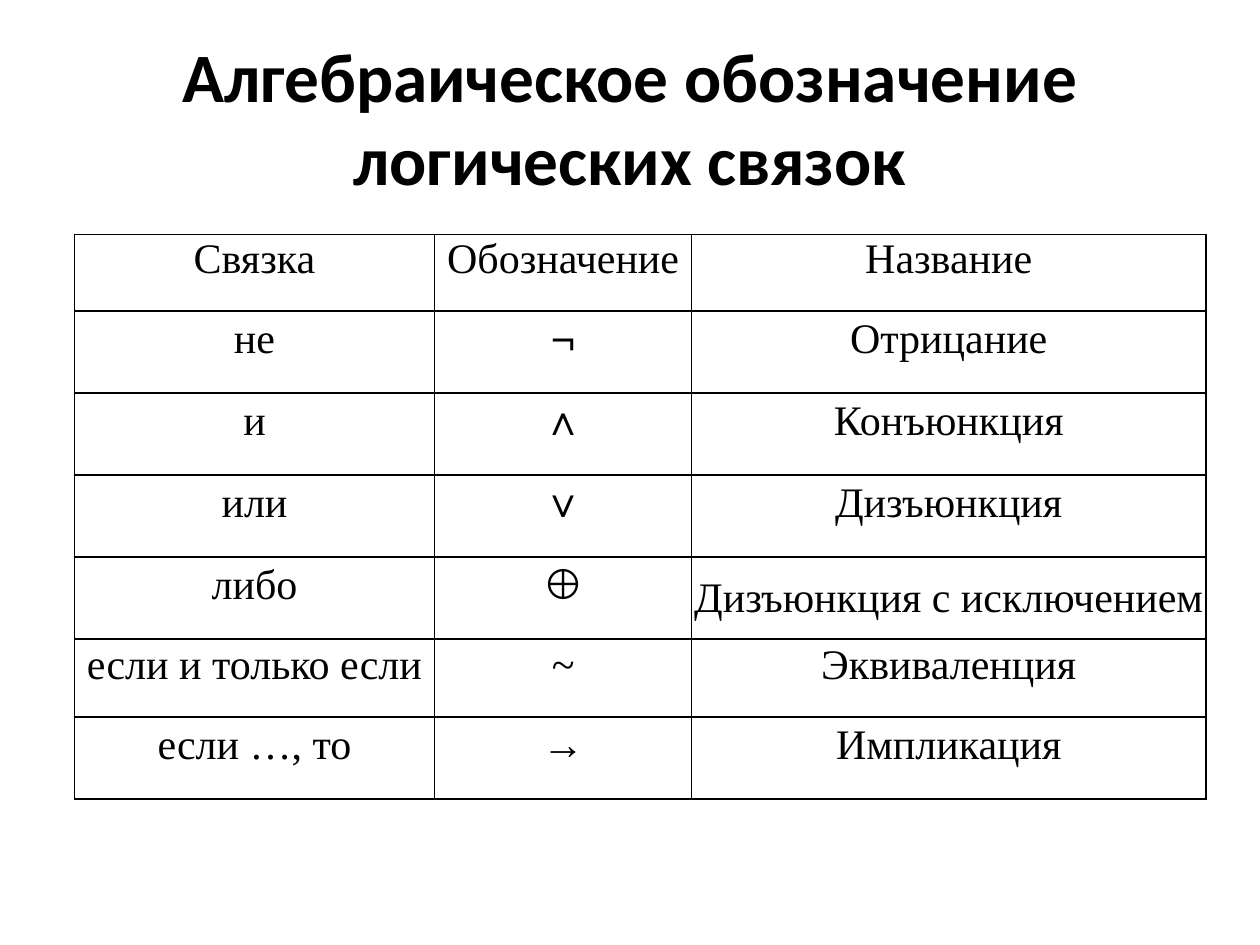
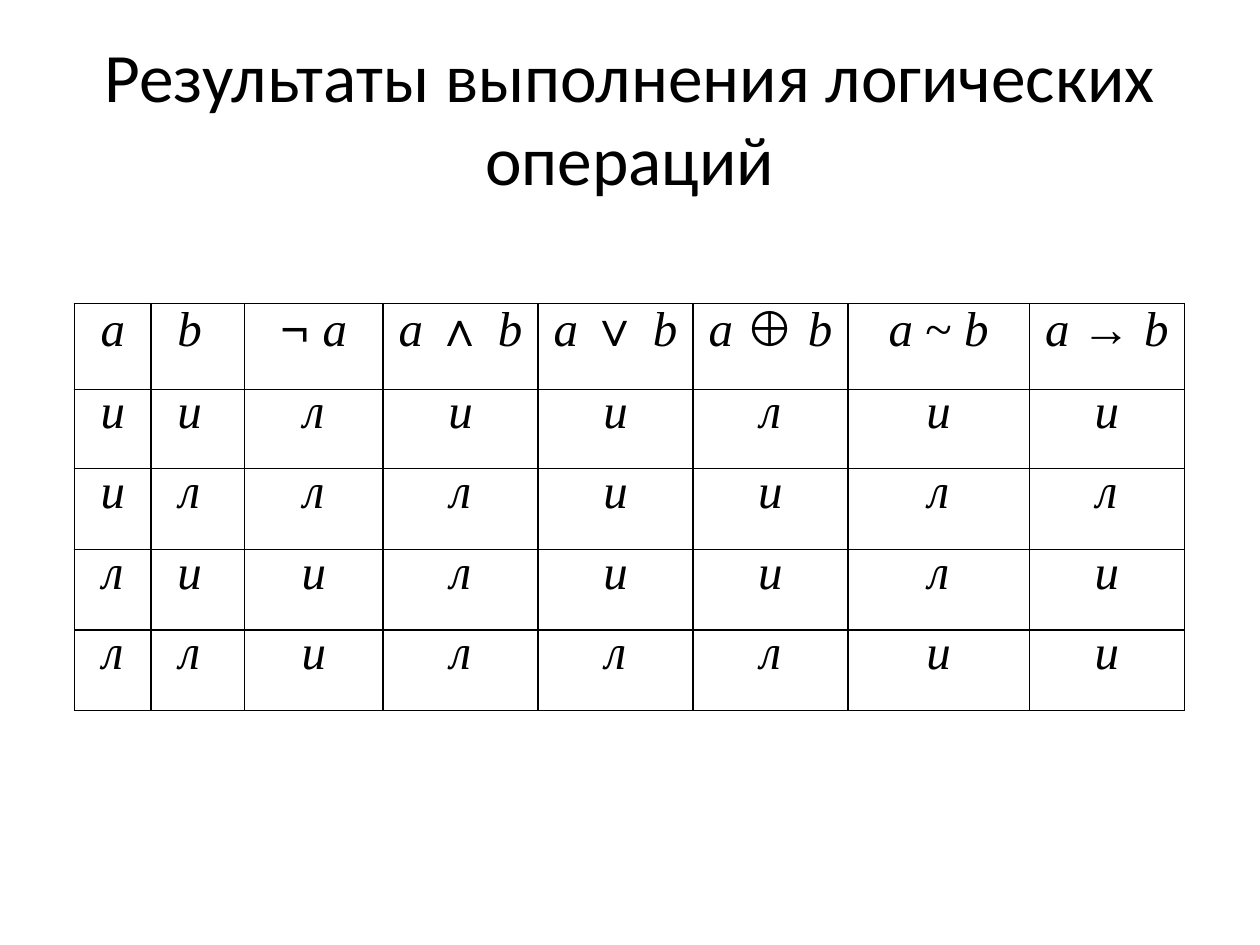
from lxml import etree
from pptx import Presentation
from pptx.dml.color import RGBColor
from pptx.enum.text import MSO_ANCHOR, PP_ALIGN
from pptx.oxml.ns import qn
from pptx.util import Inches, Pt

MIDDLE, CENTER = MSO_ANCHOR.MIDDLE, PP_ALIGN.CENTER

# Shared look
INK = "000000"
TITLE_FONT, BODY_FONT, SYMBOL_FONT = "Calibri", "Times New Roman", "Arial"
TITLE_SIZE = 39.6
TITLE_BOX = (0.5, 0.3, 9, 1.25)
TABLE_LEFT = 0.59
SYMBOLS = set("¬∧∨⊕→")
OPERATORS = SYMBOLS | {"~"}

# Content; lengths in inches, sizes and line spacing in points
# spacing: exact line spacing of each row
# natural: cells that keep single spacing
# right_margins: column -> right cell margin
SLIDES = [
    {
        "title": "Алгебраическое обозначение логических связок",
        "bold": True,
        "top": 1.86,
        "size": 24,
        "italic": False,
        "columns": [2.86, 2.04, 4.08],
        "heights": [0.61, 0.65, 0.65, 0.65, 0.65, 0.62, 0.65],
        "spacing": [11.7, 12.3, 12.3, 12.3, 12.3, 11.8, 12.3],
        "natural": {(4, 2)},
        "right_margins": {},
        "rows": [
            ("Связка", "Обозначение", "Название"),
            ("не", "¬", "Отрицание"),
            ("и", "∧", "Конъюнкция"),
            ("или", "∨", "Дизъюнкция"),
            ("либо", "⊕", "Дизъюнкция с исключением"),
            ("если и только если", "~", "Эквиваленция"),
            ("если …, то", "→", "Импликация"),
        ],
    },
    {
        "title": "Результаты выполнения логических операций",
        "bold": False,
        "top": 2.41,
        "size": 28,
        "italic": True,
        "columns": [0.61, 0.74, 1.1, 1.23, 1.23, 1.23, 1.44, 1.23],
        "heights": [0.68, 0.63, 0.64, 0.64, 0.64],
        "spacing": [12.6, 11.6, 11.7, 11.6, 11.7],
        "natural": set(),
        "right_margins": {1: 0.13},
        "rows": [
            ("a", "b", "¬ a", "a ∧ b", "a ∨ b", "a ⊕ b", "a ~ b", "a → b"),
            "иилиилии",
            "илллиилл",
            "лиилиили",
            "ллилллии",
        ],
    },
]


def color(hex_value):
    return RGBColor.from_string(hex_value)


def style_run(run, font, size, bold=False, italic=False):
    run.font.name = font
    run.font.size = Pt(size)
    run.font.bold = bold
    run.font.italic = italic
    run.font.color.rgb = color(INK)


def add_title(slide, text, bold):
    frame = slide.shapes.add_textbox(*map(Inches, TITLE_BOX)).text_frame
    frame.word_wrap = True
    frame.vertical_anchor = MIDDLE
    frame.text = text
    paragraph = frame.paragraphs[0]
    paragraph.alignment = CENTER
    style_run(paragraph.runs[0], TITLE_FONT, TITLE_SIZE, bold)


def add_borders(cell):
    """Draw a 1 pt line on all four sides; lines precede the fill in tcPr."""
    properties = cell._tc.get_or_add_tcPr()
    for place, side in enumerate(("lnL", "lnR", "lnT", "lnB")):
        line = etree.Element(qn(f"a:{side}"), w=str(Pt(1)))
        fill = etree.SubElement(line, qn("a:solidFill"))
        etree.SubElement(fill, qn("a:srgbClr"), val=INK)
        properties.insert(place, line)


def write_formula(paragraph, text, size, italic):
    """Give operators an upright run of their own, in the symbol font."""
    parts = text.split(" ") if OPERATORS & set(text) else [text]
    for place, part in enumerate(parts, 1):
        run = paragraph.add_run()
        run.text = part + (" " if place < len(parts) else "")
        font = SYMBOL_FONT if part in SYMBOLS else BODY_FONT
        style_run(run, font, size, italic=italic and part not in OPERATORS)


def add_grid(slide, content):
    columns, heights = content["columns"], content["heights"]
    table = slide.shapes.add_table(
        len(heights), len(columns), Inches(TABLE_LEFT), Inches(content["top"]),
        Inches(sum(columns)), Inches(sum(heights))).table
    table.first_row = table.horz_banding = False
    for column, width in zip(table.columns, columns):
        column.width = Inches(width)
    for r, (row, height) in enumerate(zip(table.rows, heights)):
        row.height = Inches(height)
        for c, text in enumerate(content["rows"][r]):
            cell = table.cell(r, c)
            cell.fill.background()
            add_borders(cell)
            cell.vertical_anchor = MIDDLE
            cell.margin_left = cell.margin_top = cell.margin_bottom = 0
            cell.margin_right = Inches(content["right_margins"].get(c, 0))
            paragraph = cell.text_frame.paragraphs[0]
            paragraph.alignment = CENTER
            if (r, c) not in content["natural"]:
                paragraph.line_spacing = Pt(content["spacing"][r])
            write_formula(paragraph, text, content["size"], content["italic"])


def main():
    deck = Presentation()
    deck.slide_width, deck.slide_height = Inches(10), Inches(7.5)
    blank = deck.slide_layouts[6]
    for content in SLIDES:
        slide = deck.slides.add_slide(blank)
        add_title(slide, content["title"], content["bold"])
        add_grid(slide, content)
    deck.save("out.pptx")


if __name__ == "__main__":
    main()
